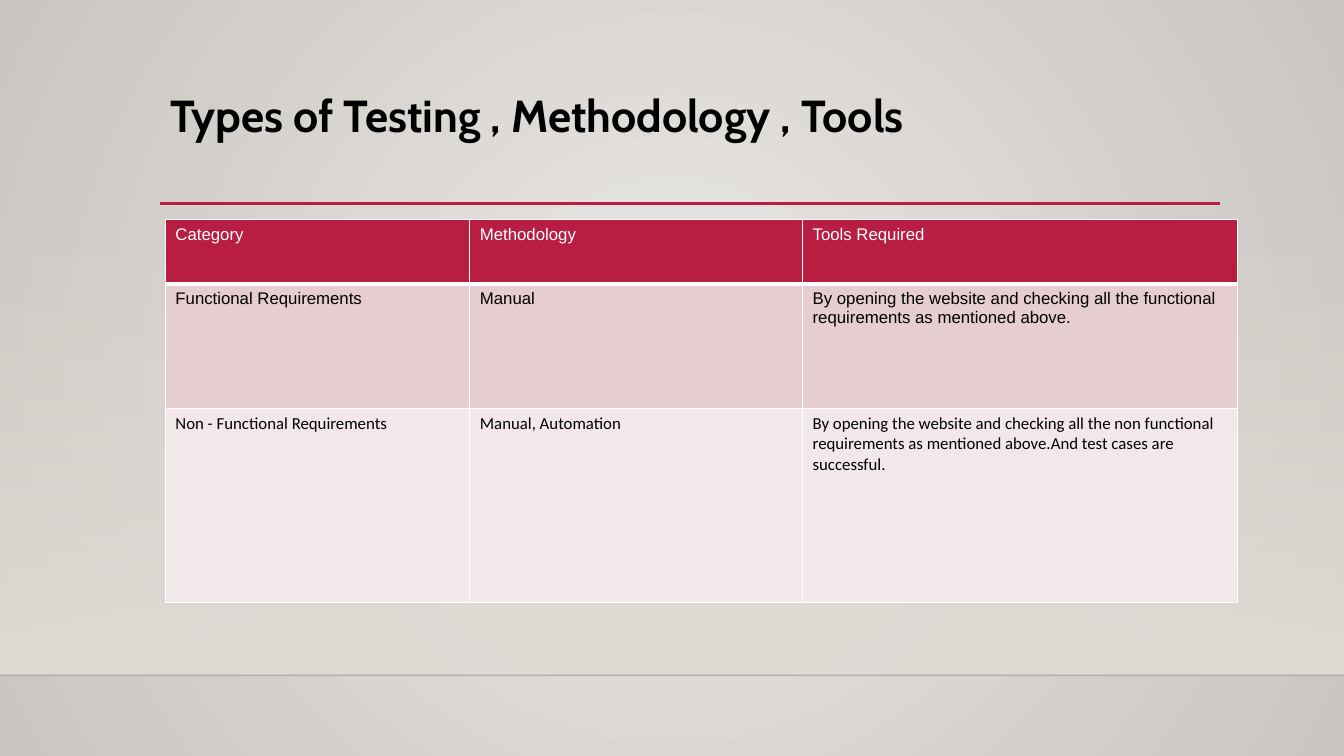
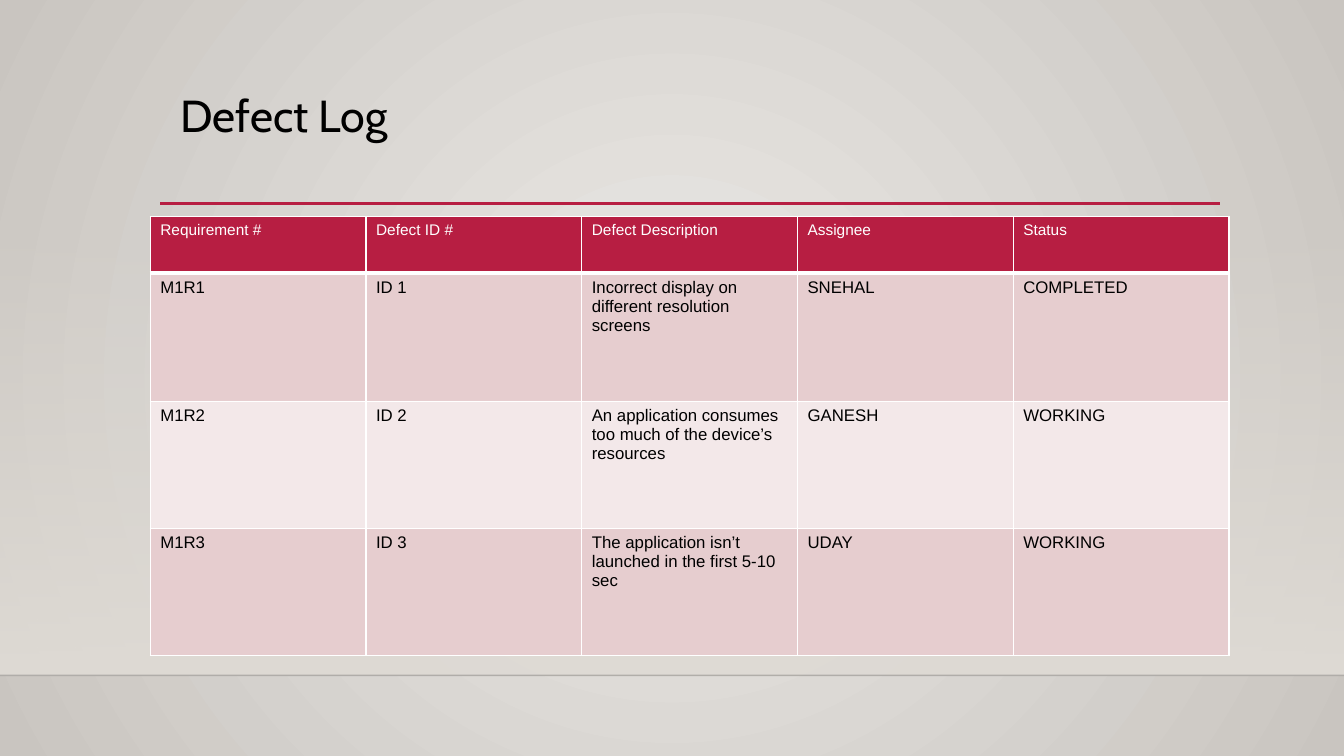
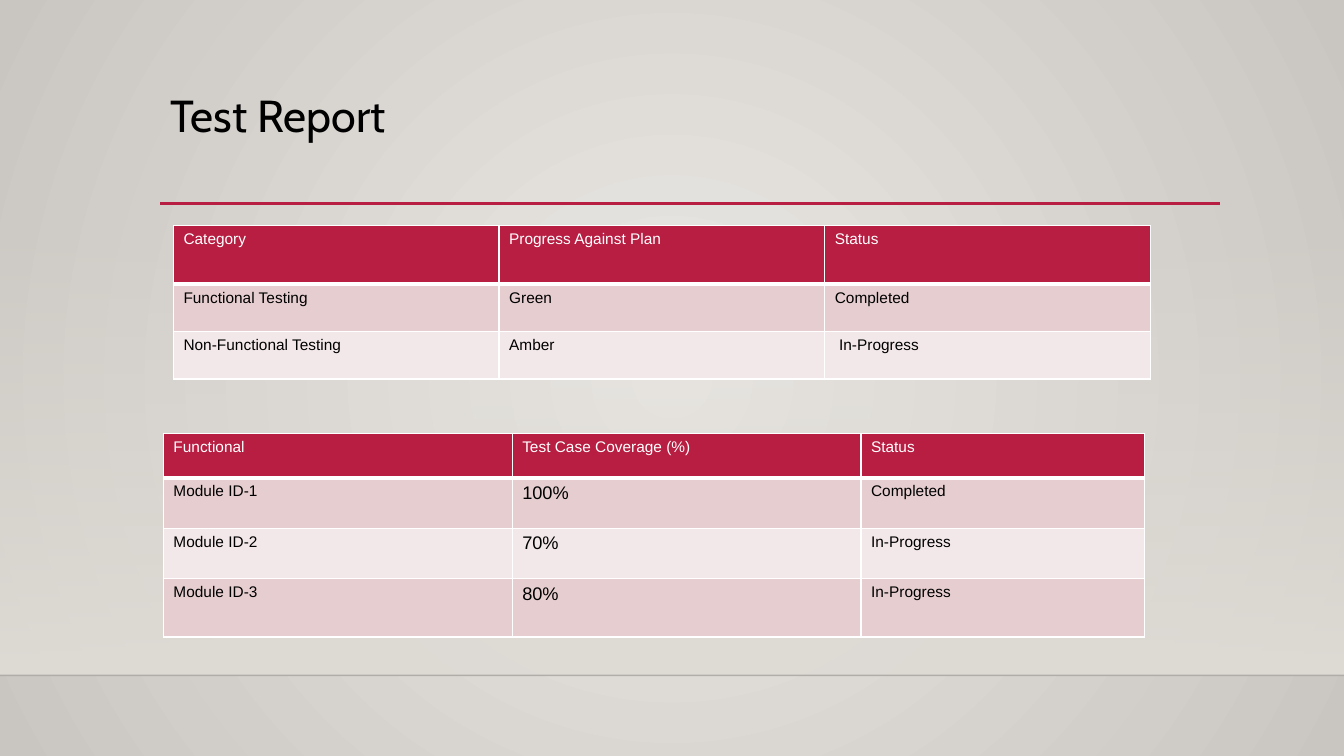
from dataclasses import dataclass, field

from lxml.etree import SubElement
from pptx import Presentation
from pptx.dml.color import RGBColor
from pptx.enum.shapes import MSO_CONNECTOR as Connector
from pptx.enum.shapes import MSO_SHAPE as Preset
from pptx.enum.text import MSO_ANCHOR as Anchor
from pptx.enum.text import MSO_AUTO_SIZE as AutoSize
from pptx.enum.text import PP_ALIGN as Align
from pptx.oxml import parse_xml
from pptx.oxml.ns import nsdecls, qn
from pptx.util import Inches, Pt

# Shared look
ACCENT, WHITE, BLACK = "B71E42", "FFFFFF", "000000"
BODY_FILLS = ("E6CDCF", "F3E8E9")
GLOW, EDGE, FLOOR, FLOOR_LINE = "EBE9E6", "C9C5C0", "DFDBD5", "000001"
TITLE_FONT, BODY_FONT = "Cabin", "Arial"
WIDTH, HEIGHT = 13.33, 7.5
TITLE_BOX = (1.59, 0.88, 10.5, 1.15)
FLOOR_BOX = (0, 2.21, WIDTH, 4.49)
RULE_Y = 2.02


@dataclass
class Grid:
    """A table: its corner, column widths, row heights, texts and text styles."""
    corner: tuple
    columns: list
    heights: list
    texts: list
    header_size: int = 11
    body_size: int = 11
    column_sizes: dict = field(default_factory=dict)
    row_fonts: dict = field(default_factory=dict)


def color(value):
    return RGBColor.from_string(value)


def set_alpha(color_element, percent):
    SubElement(color_element, qn("a:alpha")).set("val", str(percent * 1000))


def set_gradient(fill, first, last):
    fill.gradient()
    for stop, value, position in zip(fill.gradient_stops, (first, last), (0, 1)):
        stop.color.rgb = color(value)
        stop.position = position


def add_text(paragraph, text, font_name, size, text_color, bold=False):
    run = paragraph.add_run()
    run.text = text
    run.font.name = font_name
    run.font.size = Pt(size)
    run.font.bold = bold
    run.font.color.rgb = color(text_color)


def paint_background(master):
    set_gradient(master.background.fill, GLOW, EDGE)
    linear = master.element.xpath(".//p:bg//a:lin")[0]
    linear.getparent().replace(linear, parse_xml(
        f'<a:path {nsdecls("a")} path="circle">'
        '<a:fillToRect l="50000" t="50000" r="50000" b="50000"/></a:path>'))


def add_rule(slide, left, right, y, line_color, width):
    rule = slide.shapes.add_connector(
        Connector.STRAIGHT, Inches(left), Inches(y), Inches(right), Inches(y))
    rule.line.color.rgb = color(line_color)
    rule.line.width = Pt(width)
    SubElement(rule.element.spPr, qn("a:effectLst"))
    return rule


def add_floor(slide, box):
    left, top, width, height = box
    floor = slide.shapes.add_shape(Preset.RECTANGLE, *map(Inches, box))
    floor.shadow.inherit = False
    floor.line.fill.background()
    set_gradient(floor.fill, FLOOR, FLOOR)
    floor.fill.gradient_angle = 270
    set_alpha(floor.element.xpath(".//a:gs/a:srgbClr")[0], 0)
    edge = add_rule(slide, left, left + width, top + height, FLOOR_LINE, 1)
    set_alpha(edge.element.xpath(".//a:ln//a:srgbClr")[0], 20)


def add_title(slide, box, text, bold):
    title = slide.shapes.title
    title.left, title.top, title.width, title.height = map(Inches, box)
    frame = title.text_frame
    frame.auto_size = AutoSize.NONE
    frame.word_wrap = True
    frame.vertical_anchor = Anchor.TOP
    paragraph = frame.paragraphs[0]
    paragraph.alignment = Align.LEFT
    paragraph.line_spacing = 0.9
    add_text(paragraph, text, TITLE_FONT, 32, BLACK, bold)


def set_borders(cell, bottom_width):
    properties = cell._tc.get_or_add_tcPr()
    widths = {"lnL": 1, "lnR": 1, "lnT": 1, "lnB": bottom_width}
    for index, (side, width) in enumerate(widths.items()):
        properties.insert(index, parse_xml(
            f'<a:{side} {nsdecls("a")} w="{Pt(width)}"><a:solidFill>'
            f'<a:srgbClr val="{WHITE}"/></a:solidFill></a:{side}>'))


def add_grid(slide, grid):
    left, top = grid.corner
    table = slide.shapes.add_table(
        len(grid.heights), len(grid.columns), Inches(left), Inches(top),
        Inches(sum(grid.columns)), Inches(sum(grid.heights))).table
    table.horz_banding = False
    for column, width in zip(table.columns, grid.columns):
        column.width = Inches(width)
    for row, height in zip(table.rows, grid.heights):
        row.height = Inches(height)

    for row_index, row_texts in enumerate(grid.texts):
        header = row_index == 0
        for column_index, text in enumerate(row_texts):
            cell = table.cell(row_index, column_index)
            cell.fill.solid()
            cell.fill.fore_color.rgb = color(
                ACCENT if header else BODY_FILLS[(row_index - 1) % 2])
            set_borders(cell, 3 if header else 1)
            size = (grid.header_size if header
                    else grid.column_sizes.get(column_index, grid.body_size))
            add_text(cell.text_frame.paragraphs[0], text,
                     grid.row_fonts.get(row_index, BODY_FONT), size,
                     WHITE if header else BLACK)


def add_table_slide(presentation, title, grids, bold=False):
    slide = presentation.slides.add_slide(presentation.slide_layouts[5])
    add_floor(slide, FLOOR_BOX)
    add_rule(slide, 1.59, 12.1, RULE_Y, ACCENT, 2.5)
    add_title(slide, TITLE_BOX, title, bold)
    for grid in grids:
        add_grid(slide, grid)


TESTING_TYPES = Grid(
    (1.64, 2.18), [3.02, 3.3, 4.31], [0.64, 1.23, 1.93],
    [["Category", "Methodology", "Tools Required"],
     ["Functional Requirements", "Manual",
      "By opening the website and checking all the functional "
      "requirements as mentioned above."],
     ["Non - Functional Requirements", "Manual, Automation",
      "By opening the website and checking all the non functional requirements "
      "as mentioned above.And test cases are successful."]],
    header_size=12, body_size=12, row_fonts={2: "Calibri"})

DEFECTS = Grid(
    (1.49, 2.15), [2.14] * 5, [0.56, 1.27, 1.26, 1.26],
    [["Requirement #", "Defect ID #", "Defect Description", "Assignee", "Status"],
     ["M1R1", "ID 1", "Incorrect display on different resolution screens",
      "SNEHAL", "COMPLETED"],
     ["M1R2", "ID 2", "An application consumes too much of the device’s resources",
      "GANESH", "WORKING"],
     ["M1R3", "ID 3", "The application isn’t launched in the first 5-10 sec",
      "UDAY", "WORKING"]],
    body_size=12)

PROGRESS = Grid(
    (1.72, 2.24), [3.23] * 3, [0.58, 0.47, 0.47],
    [["Category", "Progress Against Plan", "Status"],
     ["Functional Testing", "Green", "Completed"],
     ["Non-Functional Testing", "Amber", " In-Progress"]])

COVERAGE = Grid(
    (1.62, 4.3), [3.46, 3.46, 2.81], [0.44, 0.5, 0.5, 0.58],
    [["Functional", "Test Case Coverage (%)", "Status"],
     ["Module ID-1", "100%", "Completed"],
     ["Module ID-2", "70%", "In-Progress"],
     ["Module ID-3", "80%", "In-Progress"]],
    column_sizes={1: 13})


def main():
    presentation = Presentation()
    presentation.slide_width = Inches(WIDTH)
    presentation.slide_height = Inches(HEIGHT)
    paint_background(presentation.slide_master)
    add_table_slide(presentation, "Types of Testing , Methodology , Tools",
                    [TESTING_TYPES], bold=True)
    add_table_slide(presentation, " Defect Log", [DEFECTS])
    add_table_slide(presentation, "Test Report", [PROGRESS, COVERAGE])
    presentation.save("out.pptx")


if __name__ == "__main__":
    main()
